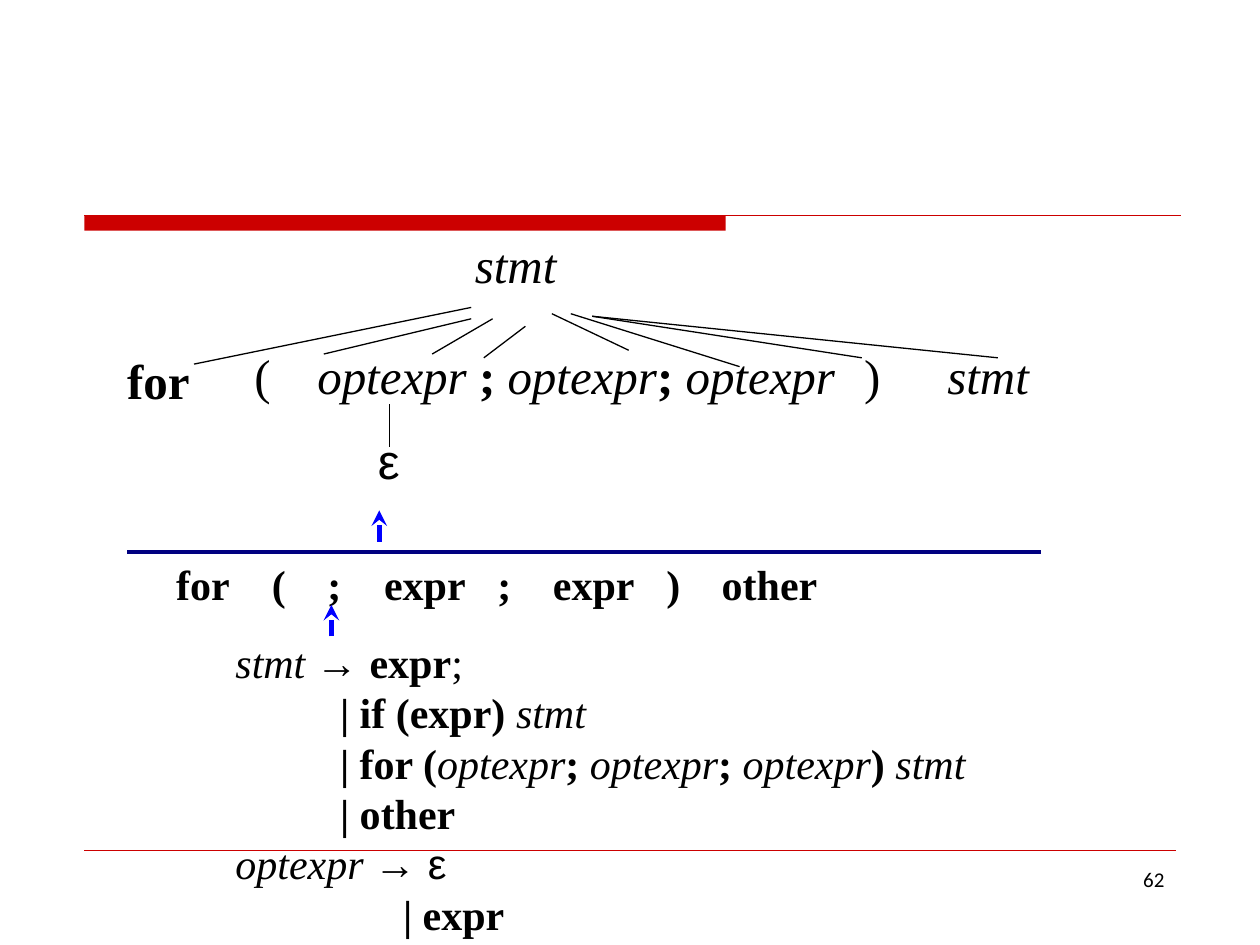
import pptx
import pptx.util
import pptx.dml.color
import pptx.enum.shapes
import pptx.enum.text
import pptx.oxml.xmlchemy

Inches = pptx.util.Inches
Pt = pptx.util.Pt
ALIGN = pptx.enum.text.PP_ALIGN
ANCHOR = pptx.enum.text.MSO_ANCHOR

COLORS = {"black": "000000", "red": "CC0000", "blue": "0000FF", "navy": "000080"}
SERIF = "Times New Roman"
PLAIN = {"name": SERIF, "bold": False, "italic": False}
BOLD = {**PLAIN, "bold": True}
ITALIC = {**PLAIN, "italic": True}
ARIAL = {**PLAIN, "name": "Arial"}
CALIBRI = {**PLAIN, "name": "Calibri"}

TREE_NODES = [
    (7.42, 2.69, 1.25, [("stmt", ITALIC)]),
    (6.76, 2.69, 1.25, [(")", PLAIN)]),
    (2.42, 2.69, 4.92, [("optexpr ", ITALIC), (";", BOLD), (" optexpr", ITALIC),
                        ("; ", BOLD), ("optexpr", ITALIC)]),
    (1.92, 2.69, 0.63, [("(", PLAIN)]),
    (0.91, 2.73, 1.25, [("for", BOLD)]),
    (3.67, 1.81, 1.25, [("stmt", ITALIC)]),
    (2.9, 3.37, 0.37, [("ε", ARIAL)]),
]
TREE_BRANCHES = [
    (3.91, 2.53, 3.43, 2.81),
    (4.17, 2.59, 3.84, 2.84),
    (4.38, 2.49, 4.99, 2.78),
    (4.53, 2.49, 5.87, 2.91),
    (3.74, 2.44, 1.54, 2.89),
    (3.74, 2.53, 2.57, 2.81),
    (4.7, 2.51, 6.84, 2.84),
    (4.7, 2.51, 7.92, 2.84),
    (3.09, 3.21, 3.09, 3.55),
]
POINTERS = [(3.01, 4.3), (2.63, 5.05)]
TOKENS = ["for", "(", ";", "expr", ";", "expr", ")", "other"]
TOKEN_STOPS = [0.76, 1.2, 1.65, 2.55, 2.99, 3.89, 4.33]
GRAMMAR = [
    (0, [("stmt ", ITALIC), ("→ ", ARIAL), ("expr", BOLD), (";", PLAIN)]),
    (0.83, [("| if (expr) ", BOLD), ("stmt", ITALIC)]),
    (0.83, [("| for (", BOLD), ("optexpr", ITALIC), ("; ", BOLD), ("optexpr", ITALIC),
            ("; ", BOLD), ("optexpr", ITALIC), (") ", BOLD), ("stmt", ITALIC)]),
    (0.83, [("| other", BOLD)]),
    (0, [("optexpr ", ITALIC), ("→ ε", ARIAL)]),
    (1.33, [("| expr", BOLD)]),
]


def rgb(color):
    return pptx.dml.color.RGBColor.from_string(COLORS[color])


def add_element(parent, tag, **attributes):
    element = pptx.oxml.xmlchemy.OxmlElement(tag)
    for key, value in attributes.items():
        element.set(key, str(value))
    parent.append(element)
    return element


def add_line(slide, ends, color="black", width=0.75, arrow=False):
    connector = slide.shapes.add_connector(
        pptx.enum.shapes.MSO_CONNECTOR.STRAIGHT, *map(Inches, ends))
    connector.line.color.rgb = rgb(color)
    connector.line.width = Pt(width)
    if arrow:
        add_element(connector.get_or_add_ln(), "a:tailEnd", type="stealth")
    add_element(connector._element.spPr, "a:effectLst")


def add_bar(slide, box, color):
    shape = slide.shapes.add_shape(
        pptx.enum.shapes.MSO_SHAPE.RECTANGLE, *map(Inches, box))
    shape.shadow.inherit = False
    shape.fill.solid()
    shape.fill.fore_color.rgb = rgb(color)
    shape.line.fill.background()


def add_text(slide, box, lines, size, align=ALIGN.LEFT, anchor=ANCHOR.TOP, stops=()):
    frame = slide.shapes.add_textbox(*map(Inches, box)).text_frame
    frame.word_wrap = True
    frame.vertical_anchor = anchor
    for index, (indent, runs) in enumerate(lines):
        paragraph = frame.add_paragraph() if index else frame.paragraphs[0]
        paragraph.alignment = align
        properties = paragraph._p.get_or_add_pPr()
        if indent:
            properties.set("marL", str(Inches(indent)))
        if stops:
            tabs = add_element(properties, "a:tabLst")
            for stop in stops:
                add_element(tabs, "a:tab", pos=Inches(stop), algn="l")
        for text, style in runs:
            run = paragraph.add_run()
            run.text = text
            for key, value in {**style, "size": Pt(size)}.items():
                setattr(run.font, key, value)
            run.font.color.rgb = rgb("black")


def add_frame(slide):
    add_bar(slide, (0.67, 1.71, 5.09, 0.12), "red")
    add_line(slide, (0.67, 1.71, 9.37, 1.71), "red")
    add_line(slide, (0.67, 6.75, 9.33, 6.75), "red", 0.25)
    add_text(slide, (7.17, 6.83, 2.17, 0.52), [(0, [("62", CALIBRI)])], 12, ALIGN.RIGHT)


def add_parse_tree(slide):
    for left, top, width, runs in TREE_NODES:
        add_text(slide, (left, top, width, 0.57), [(0, runs)], 28)
    for ends in TREE_BRANCHES:
        add_line(slide, ends)


def add_input(slide):
    add_text(slide, (1.3, 4.38, 5.5, 0.5), [(0, [("\t".join(TOKENS), BOLD)])], 24,
             anchor=ANCHOR.BOTTOM, stops=TOKEN_STOPS)
    for x, y in POINTERS:
        add_line(slide, (x, y, x, y - 0.25), "blue", 3, arrow=True)
    add_line(slide, (1.01, 4.38, 8.26, 4.38), "navy", 2)


def main():
    presentation = pptx.Presentation()
    presentation.slide_width = Inches(10)
    presentation.slide_height = Inches(7.5)
    slide = presentation.slides.add_slide(presentation.slide_layouts[6])
    add_frame(slide)
    add_parse_tree(slide)
    add_input(slide)
    add_text(slide, (1.77, 5, 6.69, 2.5), GRAMMAR, 24, anchor=ANCHOR.BOTTOM)
    presentation.save("out.pptx")


if __name__ == "__main__":
    main()
